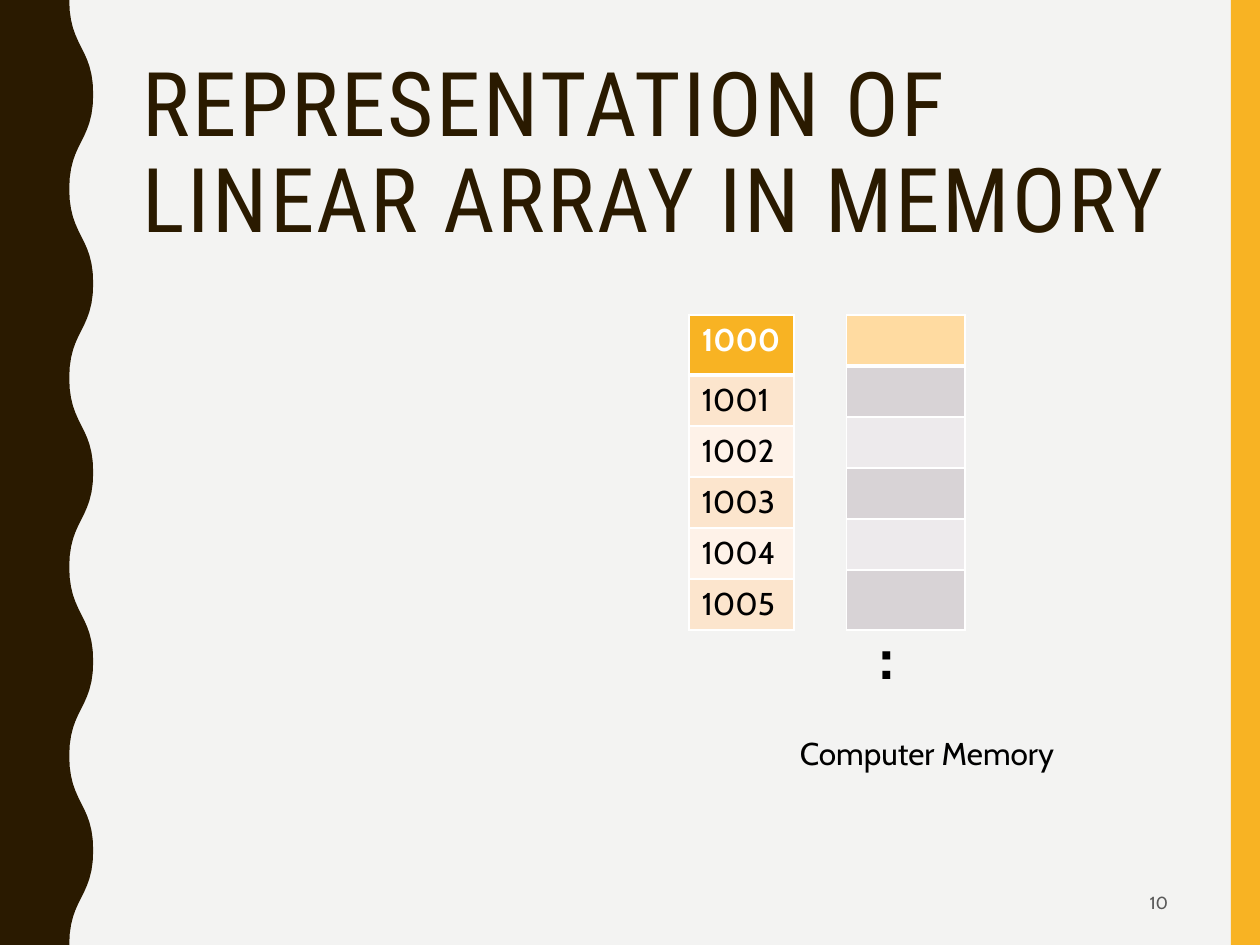
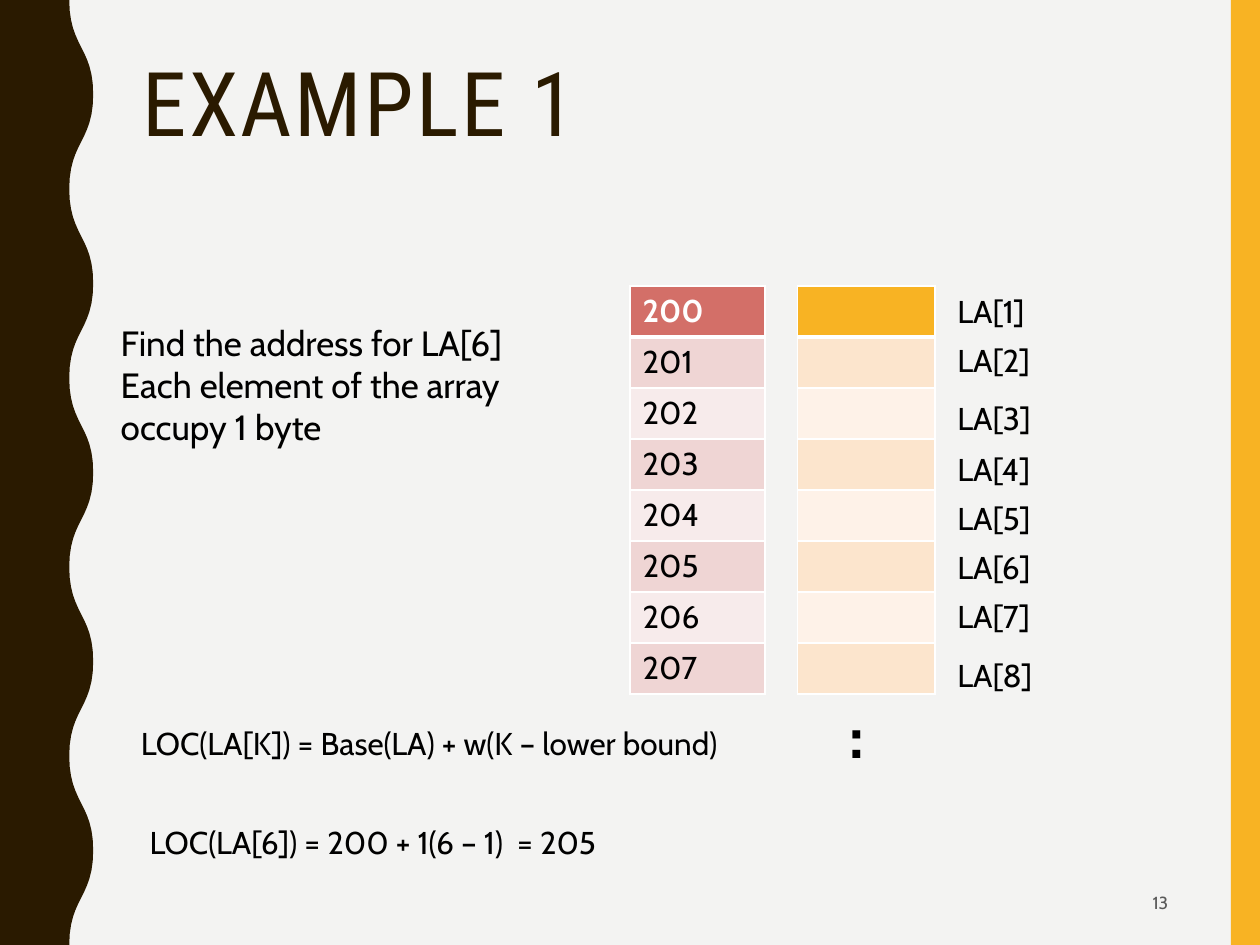
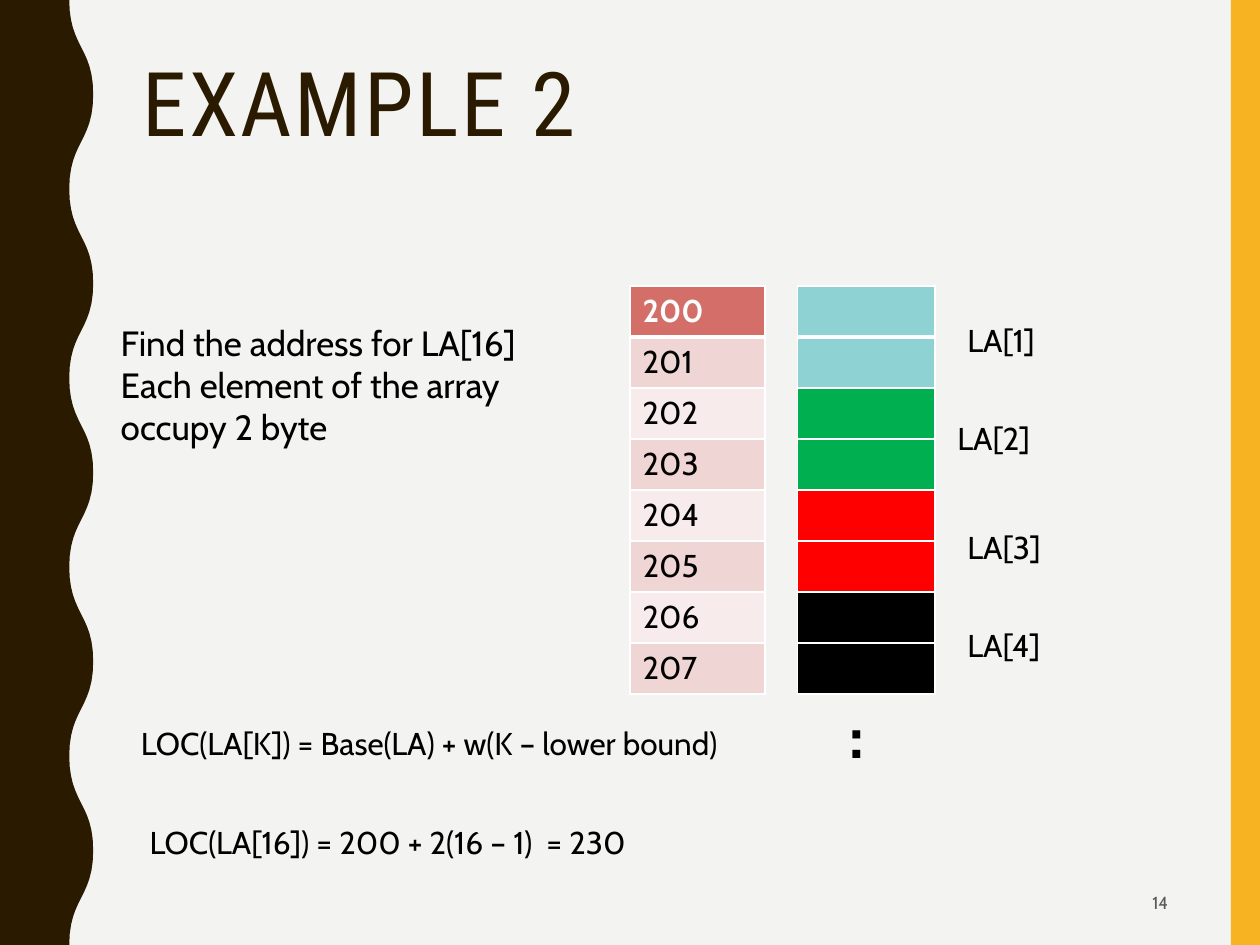
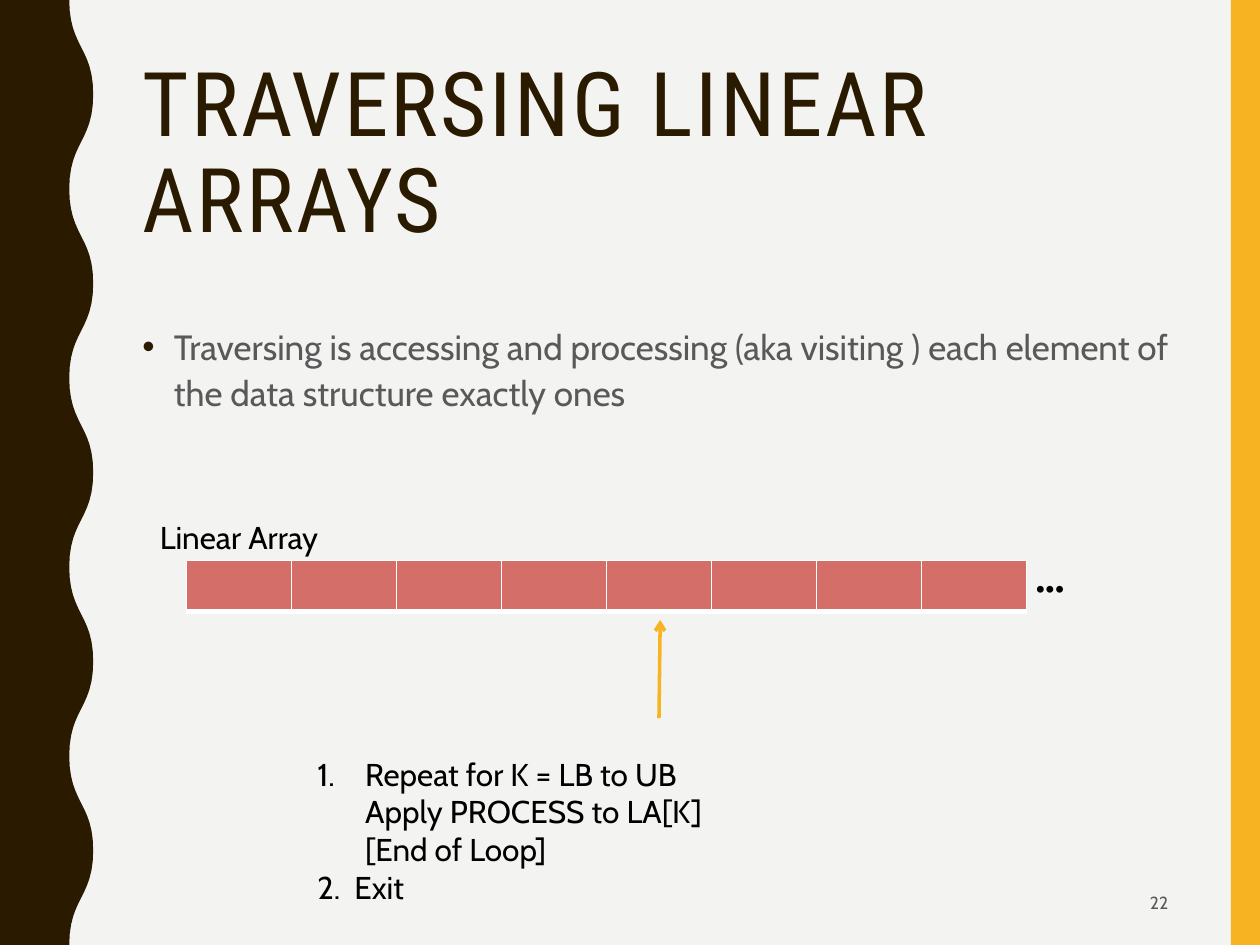
from lxml.etree import SubElement
from pptx import Presentation
from pptx.dml.color import RGBColor as RGB
from pptx.enum.shapes import MSO_CONNECTOR as LINK, MSO_SHAPE as SHAPE
from pptx.enum.text import MSO_ANCHOR as ANCHOR, MSO_AUTO_SIZE as FIT, PP_ALIGN as ALIGN
from pptx.oxml.ns import qn
from pptx.util import Inches, Pt

HUES = {
    "paper": "F3F3F2", "gold": "F8B323", "brown": "2A1A00", "grey": "595959",
    "black": "000000", "white": "FFFFFF", "rose": "D36F68", "teal": "8FD2D4",
    "green": "00B050", "red": "FF0000", "sand": "FFDBA1",
}
GOLD_BANDS = ("FCE5CD", "FEF2E8")
ROSE_BANDS = ("EFD5D4", "F7EBEB")
GREY_BANDS = ("D8D3D6", "EDEAEC")
HEAD, BODY = "Roboto Condensed", "Cabin"
ROW = 0.405


def hue(name):
    """Return the colour for a name or a hex string."""
    return RGB.from_string(HUES.get(name, name))


def paint(fill, name):
    """Make a fill solid."""
    fill.solid()
    fill.fore_color.rgb = hue(name)


def area(box):
    """Turn a box in inches into lengths."""
    return [Inches(n) for n in box]


def write(par, text, size=18, tint="black", bold=False, font=BODY):
    """Add one formatted run to a paragraph."""
    run = par.add_run()
    run.text = text
    run.font.name, run.font.size, run.font.bold = font, Pt(size), bold
    run.font.color.rgb = hue(tint)
    return run


def indent(par, left, first):
    """Set the left margin and first-line indent of a paragraph."""
    props = par._p.get_or_add_pPr()
    props.set("marL", str(Inches(left)))
    props.set("indent", str(Inches(first)))
    return props


def note(slide, box, lines, size=18, bold=False):
    """Add a wrapping text box with one paragraph per line."""
    frame = slide.shapes.add_textbox(*area(box)).text_frame
    frame.word_wrap = True
    frame.auto_size = FIT.SHAPE_TO_FIT_TEXT
    for i, line in enumerate(lines):
        par = frame.add_paragraph() if i else frame.paragraphs[0]
        write(par, line, size, bold=bold)
    return frame


def edge(cell, heavy):
    """Draw white cell borders, 3 pt on the heavy sides."""
    props = cell._tc.get_or_add_tcPr()
    for side in "LRTB":
        width = Pt(3 if side in heavy else 1)
        line = SubElement(props, qn("a:ln" + side), w=str(width))
        fill = SubElement(line, qn("a:solidFill"))
        SubElement(fill, qn("a:srgbClr"), val=HUES["white"])


def grid(slide, box, rows, cols=1):
    """Add a plain table whose first row has a heavy lower border."""
    table = slide.shapes.add_table(rows, cols, *area(box)).table
    for col in table.columns:
        col.width = Inches(box[2] / cols)
    for i, row in enumerate(table.rows):
        row.height = Inches(ROW)
        for cell in row.cells:
            edge(cell, "B" if i == 0 else "T" if i == 1 else "")
    return table


def stack(slide, box, fills, texts=(), tall=None):
    """Add a column of memory cells; the tall row takes the spare height."""
    table = grid(slide, box, len(fills))
    if tall is not None:
        table.rows[tall].height = Inches(box[3] - ROW * (len(fills) - 1))
    for i, fill in enumerate(fills):
        paint(table.cell(i, 0).fill, fill)
    for i, text in enumerate(texts):
        par = table.cell(i, 0).text_frame.paragraphs[0]
        write(par, text, tint="black" if i else "white", bold=i == 0)


def banded(head, bands, count):
    """List a head fill followed by alternating band fills."""
    return [head] + [bands[i % 2] for i in range(count - 1)]


def wave(slide, box, dip=0.19, half=0.75, steps=12):
    """Draw a band whose right edge swings in and out."""
    left, top, width, height = box
    edge_pts = []
    for n in range(round(height / half)):
        for k in range(steps):
            t = k / steps
            swing = 3 * t ** 2 - 2 * t ** 3
            x = width - dip * (swing if n % 2 else 1 - swing)
            y = half * (n + 1.5 * t * (1 - t) + t ** 3)
            edge_pts.append((Inches(left + x), Inches(top + y)))
    foot = top + height
    edge_pts += [(Inches(left + width - dip), Inches(foot)), (Inches(left), Inches(foot))]
    pen = slide.shapes.build_freeform(Inches(left), Inches(top))
    pen.add_line_segments(edge_pts, close=True)
    return pen.convert_to_shape()


def dress(deck, slide):
    """Move the wave and side bar to the master, and set the background."""
    master = deck.slide_master
    paint(master.background.fill, "paper")
    bar = slide.shapes.add_shape(SHAPE.RECTANGLE, *area((9.77, 0, 0.23, 7.5)))
    band = wave(slide, (0, 0, 0.74, 7.5))
    for i, (shape, tint) in enumerate(((bar, "gold"), (band, "brown"))):
        paint(shape.fill, tint)
        shape.line.fill.background()
        shape.shadow.inherit = False
        shape.element.nvSpPr.cNvPr.set("id", str(20 + i))
        master.shapes.element.insert(2 + i, shape.element)


def place(holder, box):
    """Move a placeholder and return its top-anchored frame."""
    holder.left, holder.top, holder.width, holder.height = area(box)
    frame = holder.text_frame
    frame.word_wrap, frame.auto_size = True, FIT.NONE
    frame.vertical_anchor = ANCHOR.TOP
    return frame


def start(deck, title, number, layout=5):
    """Add a slide with its title and number."""
    slide = deck.slides.add_slide(deck.slide_layouts[layout])
    par = place(slide.shapes.title, (1.03, 0.42, 8.35, 1.63)).paragraphs[0]
    par.alignment, par.line_spacing = ALIGN.LEFT, 0.9
    run = write(par, title, 51, "brown", font=HEAD)
    run._r.get_or_add_rPr().set("spc", "150")
    frame = slide.shapes.add_textbox(*area((7.06, 6.97, 2.31, 0.38))).text_frame
    frame.word_wrap, frame.vertical_anchor = True, ANCHOR.MIDDLE
    frame.paragraphs[0].alignment = ALIGN.RIGHT
    write(frame.paragraphs[0], str(number), 10, "grey")
    return slide


def memory(slide, box):
    """Show addresses beside memory cells."""
    x, y, _, high = box
    stack(slide, (x + 1.25, y, 0.94, high), banded("sand", GREY_BANDS, 6), tall=5)
    stack(slide, (x, y, 0.83, high), banded("gold", GOLD_BANDS, 6),
          [str(1000 + i) for i in range(6)], tall=0)
    note(slide, (x + 0.78, y + 3.28, 2.81, 0.4), ["Computer Memory"])
    note(slide, (x + 1.41, y + 2.34, 1.72, 0.71), [":"], 36, True)


def example(slide, box, fills, tags, task, answer):
    """Show a task, its memory map with tagged cells, and the answer."""
    x, y, _, high = box
    stack(slide, (x + 5.47, y, 1.09, high), fills)
    stack(slide, (x + 4.14, y, 1.07, high), banded("rose", ROSE_BANDS, 8),
          [str(200 + i) for i in range(8)])
    for i, (dx, dy) in enumerate(tags, 1):
        note(slide, (x + 6.64 + dx, y + dy, 0.94, 0.4), [f"LA[{i}]"])
    note(slide, (x, y + 0.23, 3.98, 1.11), task, 20)
    note(slide, (x + 0.16, y + 3.43, 5.63, 0.4),
         ["LOC(LA[K]) = Base(LA) + w(K – lower bound)"])
    note(slide, (x + 0.23, y + 4.21, 5.47, 0.4), [answer])
    note(slide, (x + 5.78, y + 3.2, 1.72, 0.71), [":"], 36, True)


def point(slide, box, text):
    """Fill the body placeholder with one bullet."""
    par = place(slide.placeholders[1], box).paragraphs[0]
    par.line_spacing, par.space_before = 1.1, Pt(7)
    props = indent(par, 0.25, -0.25)
    tint = SubElement(props, qn("a:buClr"))
    SubElement(tint, qn("a:srgbClr"), val=HUES["brown"])
    SubElement(props, qn("a:buChar"), char="•")
    write(par, text, 20, "grey")


def arrow(slide, ends):
    """Draw a gold arrow."""
    line = slide.shapes.add_connector(LINK.STRAIGHT, *area(ends))
    line.line.color.rgb, line.line.width = hue("gold"), Pt(2)
    SubElement(line.line._get_or_add_ln(), qn("a:tailEnd"), type="arrow")
    SubElement(line.element.spPr, qn("a:effectLst"))


def strip(slide, box):
    """Show the array as a row of cells with a pointer."""
    x, y, width, _ = box
    table = grid(slide, box, 1, 8)
    for cell in table.rows[0].cells:
        paint(cell.fill, "rose")
    note(slide, (x + width - 0.03, y, 1.88, 0.4), ["•••"])
    arrow(slide, (x + 3.75, y + 1.25, x + 3.76, y + 0.47))
    note(slide, (x - 0.31, y - 0.39, 2.03, 0.4), ["Linear Array"])


def steps(slide, box):
    """List the steps of the loop."""
    frame = note(slide, box, ["Repeat for K = LB to UB", "Apply PROCESS to LA[K]",
                              "[End of Loop]", "2.  Exit"])
    for par, first in zip(frame.paragraphs, (-0.38, 0, 0, -0.38)):
        indent(par, 0.38, first)
    SubElement(frame.paragraphs[0]._p.pPr, qn("a:buAutoNum"), type="arabicPeriod")


def main():
    """Build the deck."""
    deck = Presentation()
    deck.slide_width, deck.slide_height = Inches(10), Inches(7.5)

    slide = start(deck, "REPRESENTATION OF LINEAR ARRAY IN MEMORY", 10)
    dress(deck, slide)
    memory(slide, (5.47, 2.5, 3.59, 2.5))

    box = (0.86, 2.27, 7.58, 3.24)
    drops = (0, 0.39, 0.85, 1.25, 1.64, 2.03, 2.42, 2.89)
    example(start(deck, "EXAMPLE 1", 13), box, banded("gold", GOLD_BANDS, 8),
            [(0, dy) for dy in drops],
            ["Find the address for LA[6]", "Each element of the array occupy 1 byte"],
            "LOC(LA[6]) = 200 + 1(6 – 1)  = 205")

    pairs = [tint for tint in ("teal", "green", "red", "black") for _ in range(2)]
    example(start(deck, "EXAMPLE 2", 14), box, pairs,
            [(0.08, 0.23), (0, 1.01), (0.08, 1.87), (0.08, 2.65)],
            ["Find the address for LA[16]", "Each element of the array occupy 2 byte"],
            "LOC(LA[16]) = 200 + 2(16 – 1)  = 230")

    slide = start(deck, "TRAVERSING LINEAR ARRAYS", 22, layout=1)
    point(slide, (1.03, 2.5, 8.35, 3.93),
          "Traversing is accessing and processing (aka visiting ) each element of "
          "the data structure exactly ones")
    strip(slide, (1.48, 4.45, 6.67, 0.41))
    steps(slide, (2.42, 5.94, 4.53, 1.31))
    deck.save("out.pptx")


main()
